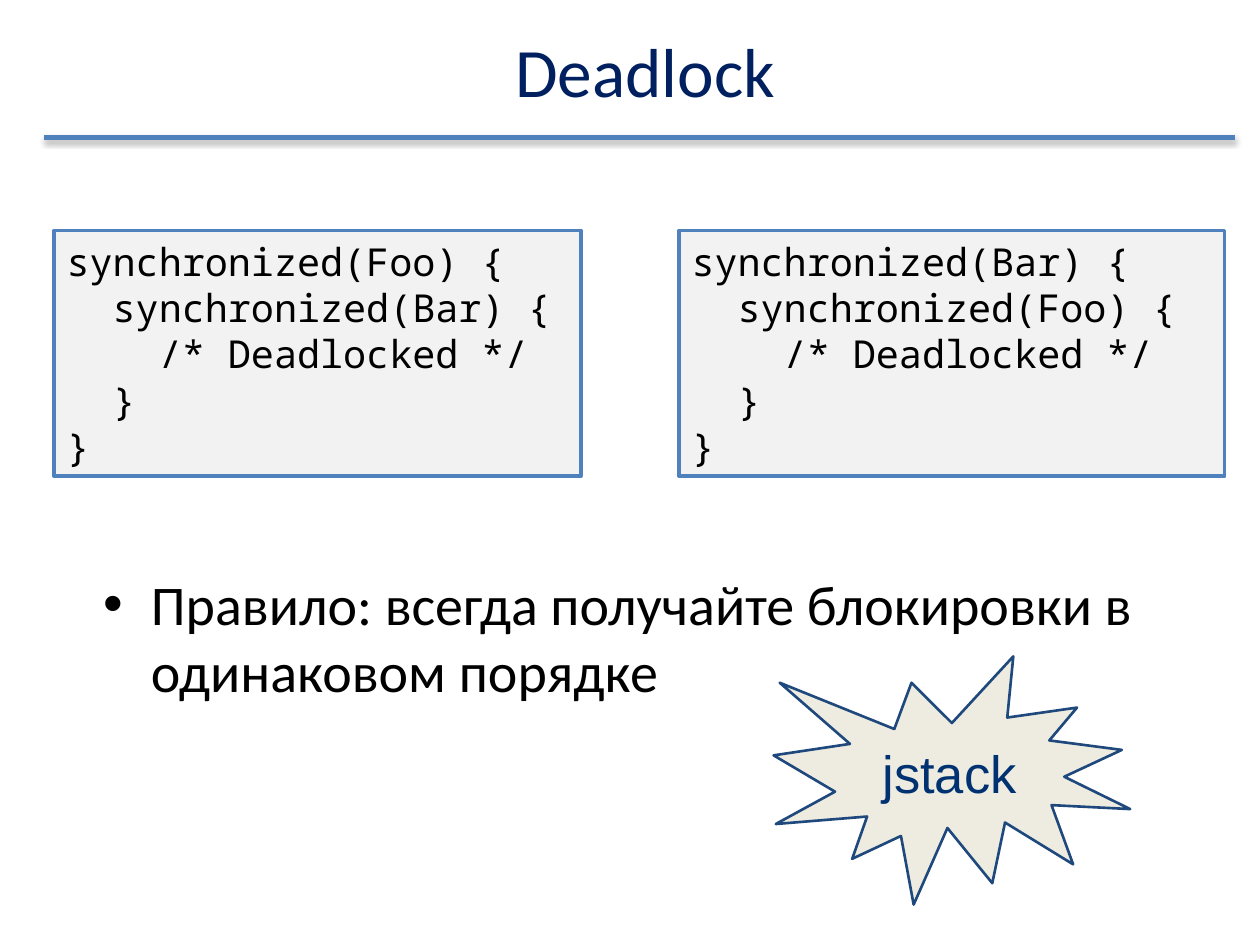
import pptx
import pptx.util
import pptx.dml.color
import pptx.enum.shapes
import pptx.enum.text
import pptx.oxml
import pptx.oxml.ns
from pptx.util import Inches

RGBColor = pptx.dml.color.RGBColor
Shapes = pptx.enum.shapes.MSO_SHAPE
Align = pptx.enum.text.PP_ALIGN
Anchor = pptx.enum.text.MSO_ANCHOR

NAVY = RGBColor(0x00, 0x20, 0x60)
BLUE = RGBColor(0x4F, 0x81, 0xBD)
DARK_BLUE = RGBColor(0x1F, 0x49, 0x7D)
BURST_TEXT = RGBColor(0x00, 0x31, 0x71)
BLACK = RGBColor(0x00, 0x00, 0x00)
LIGHT_GREY = RGBColor(0xF2, 0xF2, 0xF2)
CREAM = RGBColor(0xEE, 0xEC, 0xE1)


def add_span(para, text, font, size, color):
    span = para.add_run()
    span.text = text
    span.font.name = font
    span.font.size = pptx.util.Pt(size)
    span.font.color.rgb = color


def set_title(page, text):
    title = page.shapes.title
    title.left, title.top = Inches(0.59), Inches(0.16)
    title.width, title.height = Inches(9.06), Inches(0.79)
    title.text_frame.vertical_anchor = Anchor.MIDDLE
    para = title.text_frame.paragraphs[0]
    para.alignment = Align.CENTER
    add_span(para, text, "Calibri", 39.6, NAVY)


def add_title_rule(page):
    rule = page.shapes.add_connector(
        pptx.enum.shapes.MSO_CONNECTOR.STRAIGHT,
        Inches(0.35), Inches(1.09), Inches(9.8), Inches(1.09))
    rule.line.color.rgb = BLUE
    rule.line.width = pptx.util.Pt(3)
    effects = pptx.oxml.parse_xml(
        f'<a:effectLst {pptx.oxml.ns.nsdecls("a")}>'
        '<a:outerShdw blurRad="39400" dist="23000" dir="5400000" rotWithShape="0">'
        '<a:srgbClr val="000000"><a:alpha val="35000"/></a:srgbClr>'
        '</a:outerShdw></a:effectLst>')
    rule._element.spPr.append(effects)


def add_filled_shape(page, kind, left, top, width, height, fill, line, weight):
    shape = page.shapes.add_shape(
        kind, Inches(left), Inches(top), Inches(width), Inches(height))
    shape.shadow.inherit = False
    shape.fill.solid()
    shape.fill.fore_color.rgb = fill
    shape.line.color.rgb = line
    shape.line.width = pptx.util.Pt(weight)
    shape.text_frame.vertical_anchor = Anchor.MIDDLE
    return shape


def add_code_box(page, left, width, outer, inner):
    box = add_filled_shape(page, Shapes.RECTANGLE, left, 1.83, width, 1.95,
                           LIGHT_GREY, BLUE, 2)
    lines = [f"synchronized({outer}) {{", f"  synchronized({inner}) {{",
             "    /* Deadlocked */", "  }", "}"]
    frame = box.text_frame
    for index, line in enumerate(lines):
        para = frame.add_paragraph() if index else frame.paragraphs[0]
        para.alignment = Align.LEFT
        add_span(para, line, "Noto Sans Mono", 22, BLACK)


def add_bullet(page, text):
    box = page.shapes.add_textbox(
        Inches(0.72), Inches(4.47), Inches(8.84), Inches(1.2))
    box.text_frame.word_wrap = True
    para = box.text_frame.paragraphs[0]
    properties = para._p.get_or_add_pPr()
    properties.set("marL", str(Inches(0.38)))
    properties.set("indent", str(Inches(-0.38)))
    namespace = pptx.oxml.ns.nsdecls("a")
    for tag in ('buFont {} typeface="Arial"', 'buChar {} char="•"'):
        properties.append(pptx.oxml.parse_xml(f"<a:{tag.format(namespace)}/>"))
    add_span(para, text, "Calibri", 32, BLACK)


def add_burst(page, text):
    burst = add_filled_shape(page, Shapes.EXPLOSION1, 6.14, 5.21, 2.83, 1.97,
                             CREAM, DARK_BLUE, 1.5)
    frame = burst.text_frame
    frame.margin_left = frame.margin_right = Inches(0.1)
    frame.margin_top = frame.margin_bottom = Inches(0.1)
    para = frame.paragraphs[0]
    para.alignment = Align.CENTER
    add_span(para, text, "Arial", 30, BURST_TEXT)


def main():
    deck = pptx.Presentation()
    deck.slide_width, deck.slide_height = Inches(10), Inches(7.5)
    page = deck.slides.add_slide(deck.slide_layouts[5])
    add_title_rule(page)
    set_title(page, "Deadlock")
    add_bullet(page, "Правило: всегда получайте блокировки в одинаковом порядке")
    add_code_box(page, 0.43, 4.18, "Foo", "Bar")
    add_code_box(page, 5.39, 4.33, "Bar", "Foo")
    add_burst(page, "jstack")
    deck.save("out.pptx")


if __name__ == "__main__":
    main()
